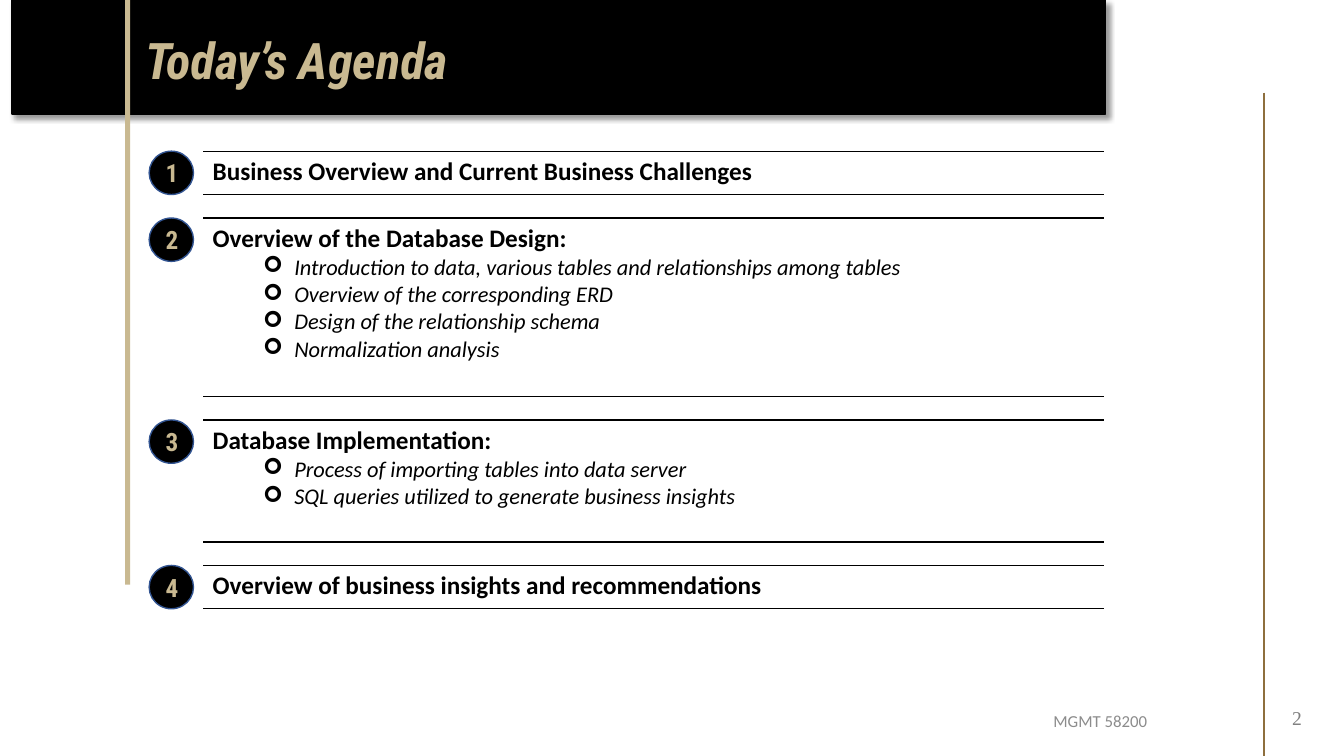
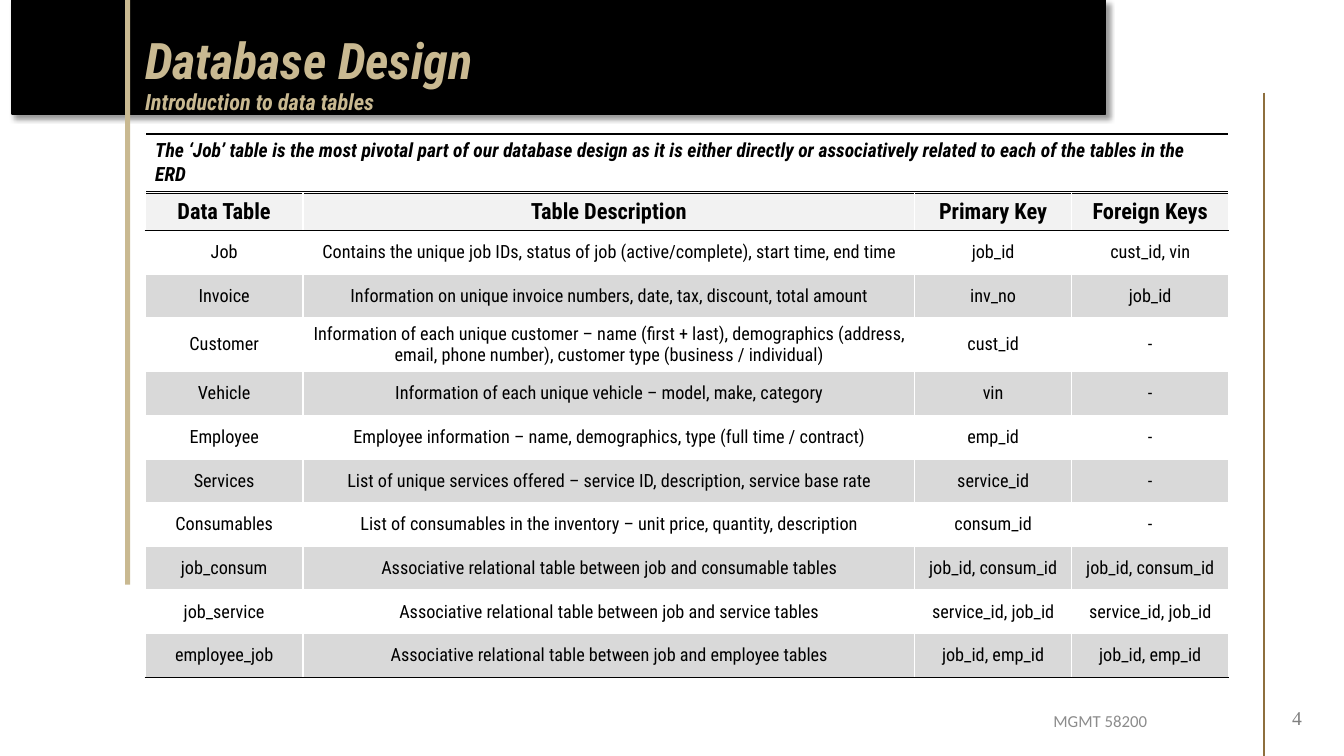
import lxml.etree
import pptx
import pptx.dml.color
import pptx.enum.shapes
import pptx.enum.text
import pptx.oxml.ns
import pptx.util

COLUMNS, ROWS = 160, 90
UNIT = pptx.util.Inches(7.5) / ROWS
COLORS = {
    "black": "000000", "white": "FFFFFF", "gold": "C9B991", "bronze": "8E6F3E",
    "badge_line": "325491", "footer": "8C8C8C", "number": "808080",
    "header": "F2F2F2", "stripe": "D9D9D9",
}
BODY, DISPLAY, NUMERAL = "Calibri", "Roboto Condensed", "Times New Roman"
CENTER = pptx.enum.text.PP_ALIGN.CENTER
LEFT = pptx.enum.text.PP_ALIGN.LEFT
MIDDLE = pptx.enum.text.MSO_ANCHOR.MIDDLE
TOP = pptx.enum.text.MSO_ANCHOR.TOP
SHAPES = pptx.enum.shapes.MSO_SHAPE

MARGIN = 17.28
AGENDA_TOP, AGENDA_GAP = 18, 2.8
AGENDA = [
    (5.16, "Business Overview and Current Business Challenges", []),
    (21.24, "Overview of the Database Design:", [
        "Introduction to data, various tables and relationships among tables",
        "Overview of the corresponding ERD",
        "Design of the relationship schema",
        "Normalization analysis",
    ]),
    (14.52, "Database Implementation:", [
        "Process of importing tables into data server",
        "SQL queries utilized to generate business insights",
    ]),
    (5.16, "Overview of business insights and recommendations", []),
]
KEY_MESSAGE = (
    "The ‘Job’ table is the most pivotal part of our database design as it is "
    "either directly or associatively related to each of the tables in the ERD"
)
DATA_TABLES = [
    ("Data Table", "Table Description", "Primary Key", "Foreign Keys"),
    ("Job", "Contains the unique job IDs, status of job (active/complete), "
     "start time, end time", "job_id", "cust_id, vin"),
    ("Invoice", "Information on unique invoice numbers, date, tax, discount, "
     "total amount", "inv_no", "job_id"),
    ("Customer", "Information of each unique customer – name (first + last), "
     "demographics (address, email, phone number), customer type "
     "(business / individual)", "cust_id", "-"),
    ("Vehicle", "Information of each unique vehicle – model, make, category",
     "vin", "-"),
    ("Employee", "Employee information – name, demographics, type "
     "(full time / contract)", "emp_id", "-"),
    ("Services", "List of unique services offered – service ID, description, "
     "service base rate", "service_id", "-"),
    ("Consumables", "List of consumables in the inventory – unit price, "
     "quantity, description", "consum_id", "-"),
    ("job_consum", "Associative relational table between job and consumable "
     "tables", "job_id, consum_id", "job_id, consum_id"),
    ("job_service", "Associative relational table between job and service "
     "tables", "service_id, job_id", "service_id, job_id"),
    ("employee_job", "Associative relational table between job and employee "
     "tables", "job_id, emp_id", "job_id, emp_id"),
]


def grid(*lengths):
    return [pptx.util.Emu(round(length * UNIT)) for length in lengths]


def rgb(color):
    return pptx.dml.color.RGBColor.from_string(COLORS[color])


def add_xml(parent, tag, **attributes):
    return lxml.etree.SubElement(parent, pptx.oxml.ns.qn(tag), attributes)


def write(paragraph, text, size, font, color="black", bold=False, italic=False,
          align=LEFT):
    paragraph.add_run().text = text
    paragraph.alignment = align
    style = paragraph.font
    style.size = pptx.util.Pt(size)
    style.name = font
    style.bold = bold
    style.italic = italic
    style.color.rgb = rgb(color)


def add_bullet(paragraph):
    paragraph.level = 1
    properties = paragraph._p.get_or_add_pPr()
    properties.set("marL", str(pptx.util.Inches(0.81)))
    properties.set("indent", str(pptx.util.Inches(-0.31)))
    add_xml(properties, "a:buFont", typeface="Wingdings")
    add_xml(properties, "a:buChar", char="➢")


def add_text_box(slide, box, anchor=TOP, inset=True, wrap=True):
    frame = slide.shapes.add_textbox(*grid(*box)).text_frame
    frame.word_wrap = wrap
    frame.vertical_anchor = anchor
    if not inset:
        frame.margin_left = frame.margin_right = 0
        frame.margin_top = frame.margin_bottom = 0
    return frame


def add_block(slide, preset, box, fill, line=None):
    block = slide.shapes.add_shape(preset, *grid(*box))
    block.shadow.inherit = False
    block.fill.solid()
    block.fill.fore_color.rgb = rgb(fill)
    if line:
        block.line.color.rgb = rgb(line)
        block.line.width = pptx.util.Pt(1)
    else:
        block.line.fill.background()
    return block


def add_shadow(block):
    effects = block._element.spPr.find(pptx.oxml.ns.qn("a:effectLst"))
    shadow = add_xml(effects, "a:outerShdw", blurRad=str(pptx.util.Pt(4)),
                     dist=str(pptx.util.Pt(3)), dir="2700000", algn="tl",
                     rotWithShape="0")
    tone = add_xml(shadow, "a:srgbClr", val=COLORS["black"])
    add_xml(tone, "a:alpha", val="40000")


def add_line(slide, start, end, color):
    line = slide.shapes.add_connector(
        pptx.enum.shapes.MSO_CONNECTOR.STRAIGHT, *grid(*start, *end))
    line.line.color.rgb = rgb(color)
    line.line.width = pptx.util.Pt(1)
    add_xml(line._element.spPr, "a:effectLst")


def add_grid_table(slide, left, top, widths, heights):
    table = slide.shapes.add_table(
        len(heights), len(widths),
        *grid(left, top, sum(widths), sum(heights))).table
    table.first_row = table.horz_banding = False
    for column, width in zip(table.columns, grid(*widths)):
        column.width = width
    for row, height in zip(table.rows, grid(*heights)):
        row.height = height
    return table


def style_cell(cell, fill="white", top="black", bottom="black", anchor=MIDDLE):
    properties = cell._tc.get_or_add_tcPr()
    edges = {"a:lnL": "white", "a:lnR": "white", "a:lnT": top, "a:lnB": bottom}
    for edge, color in edges.items():
        border = add_xml(properties, edge, w=str(pptx.util.Pt(1)))
        add_xml(add_xml(border, "a:solidFill"), "a:srgbClr", val=COLORS[color])
    cell.fill.solid()
    cell.fill.fore_color.rgb = rgb(fill)
    cell.vertical_anchor = anchor


def add_base(presentation, number, title, subtitle=None):
    slide = presentation.slides.add_slide(presentation.slide_layouts[6])
    band = add_block(slide, SHAPES.RECTANGLE, (1.44, 0, 130.2, 13.56),
                     "black", "black")
    add_shadow(band)
    add_block(slide, SHAPES.RECTANGLE, (14.88, 0, 0.6, 69.6), "gold")
    add_line(slide, (150.48, 11.04), (150.48, ROWS), "bronze")
    footer = add_text_box(slide, (104, 83.4, 54, 4.8), MIDDLE)
    write(footer.paragraphs[0], "MGMT 58200", 12, BODY, "footer", align=CENTER)

    heading = add_text_box(slide, (MARGIN, 4.32, 110.4, 6.72), inset=False)
    write(heading.paragraphs[0], title, 36, DISPLAY, "gold", True, True)
    if subtitle:
        write(heading.add_paragraph(), subtitle, 16, DISPLAY, "gold", True, True)
    for paragraph in heading.paragraphs:
        paragraph.line_spacing = 0.9

    page = add_text_box(slide, (152.64, 83.5, 3.6, 4.08), wrap=False)
    write(page.paragraphs[0], str(number), 14, NUMERAL, "number")
    return slide


def add_agenda_item(slide, number, top, height, topic, details):
    cell = add_grid_table(slide, 24.12, top, [107.4], [height]).cell(0, 0)
    style_cell(cell, anchor=TOP)
    write(cell.text_frame.paragraphs[0], topic, 18, BODY, bold=True)
    for detail in details:
        paragraph = cell.text_frame.add_paragraph()
        add_bullet(paragraph)
        write(paragraph, detail, 16, BODY, italic=True)

    badge = add_block(slide, SHAPES.OVAL, (17.76, top, 5.28, 5.16),
                      "black", "badge_line")
    badge.text_frame.vertical_anchor = MIDDLE
    write(badge.text_frame.paragraphs[0], str(number), 18, DISPLAY, "gold",
          True, align=CENTER)


def build_agenda(presentation):
    slide = add_base(presentation, 2, "Today’s Agenda")
    top = AGENDA_TOP
    for number, (height, topic, details) in enumerate(AGENDA, 1):
        add_agenda_item(slide, number, top, height, topic, details)
        top += height + AGENDA_GAP


def build_database_design(presentation):
    slide = add_base(presentation, 4, "Database Design",
                     "Introduction to data tables")
    message = add_grid_table(slide, MARGIN, 15.96, [129], [6.84]).cell(0, 0)
    style_cell(message)
    write(message.text_frame.paragraphs[0], KEY_MESSAGE, 14, DISPLAY,
          bold=True, italic=True)

    last = len(DATA_TABLES) - 1
    listing = add_grid_table(slide, MARGIN, 23.04, [18.8, 72.8, 18.7, 18.7],
                             [4.2] + [5.2] * last)
    for row, entries in enumerate(DATA_TABLES):
        is_header = row == 0
        fill = "header" if is_header else "white" if row % 2 else "stripe"
        top = "black" if row <= 1 else "white"
        bottom = "black" if row in (0, last) else "white"
        for column, entry in enumerate(entries):
            cell = listing.cell(row, column)
            style_cell(cell, fill, top, bottom)
            write(cell.text_frame.paragraphs[0], entry, 16 if is_header else 13,
                  DISPLAY, bold=is_header, align=CENTER)


def main():
    presentation = pptx.Presentation()
    presentation.slide_width, presentation.slide_height = grid(COLUMNS, ROWS)
    build_agenda(presentation)
    build_database_design(presentation)
    presentation.save("out.pptx")


if __name__ == "__main__":
    main()
